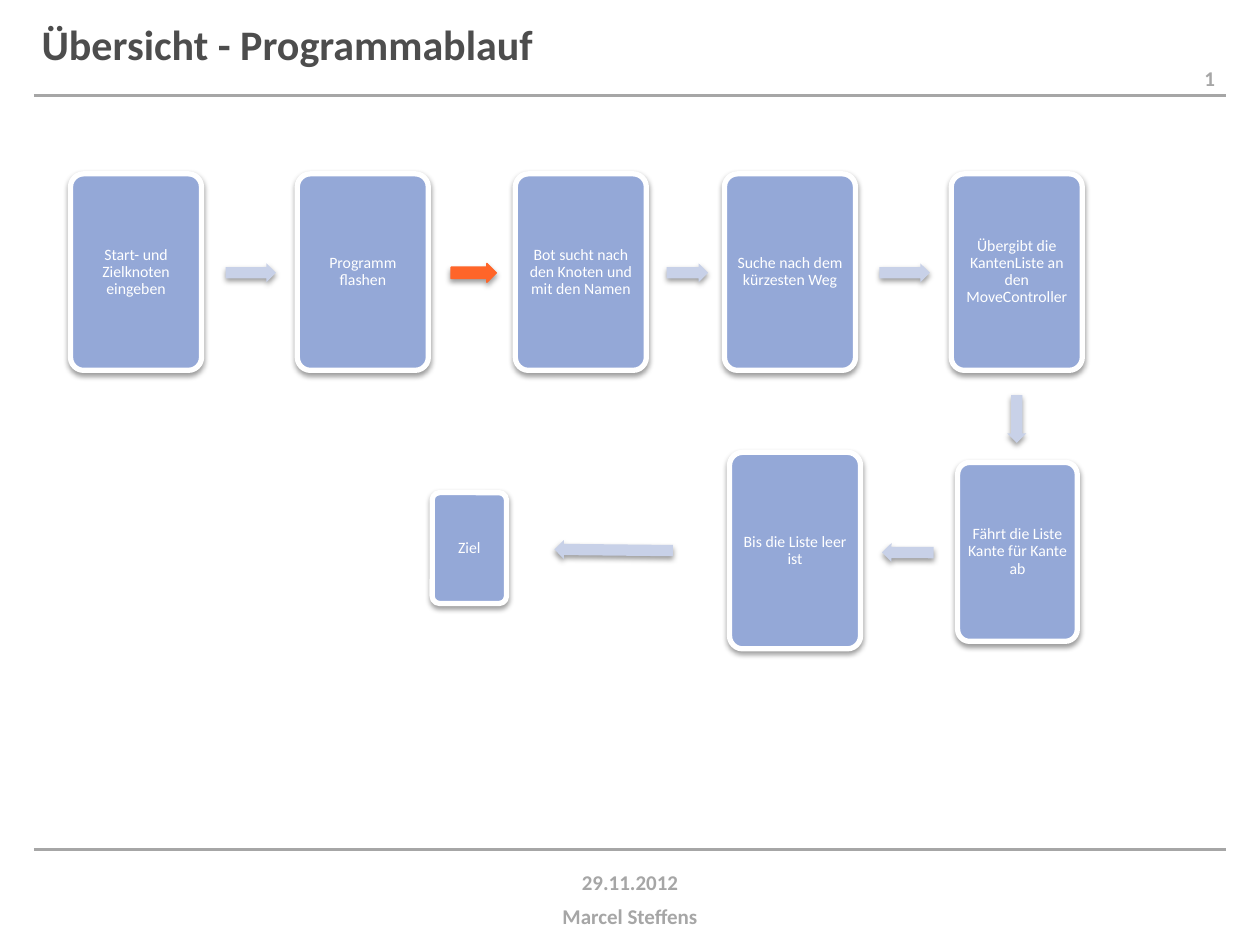
from dataclasses import dataclass

from lxml.etree import SubElement
from pptx import Presentation
from pptx.dml.color import RGBColor
from pptx.enum.shapes import MSO_CONNECTOR as Connector, MSO_SHAPE as Shape
from pptx.enum.text import MSO_ANCHOR as Anchor, PP_ALIGN as Align
from pptx.oxml.ns import qn
from pptx.util import Emu, Pt

PX = 9144


@dataclass(frozen=True)
class Theme:
    font: str = "Calibri"
    title: str = "4D4D4D"
    muted: str = "A6A6A6"
    box: str = "94A8D7"
    arrow: str = "C8D1E8"
    accent: str = "FF6529"
    white: str = "FFFFFF"
    title_size: int = 24
    footer_size: int = 12
    step_size: int = 9


@dataclass(frozen=True)
class Step:
    text: str
    left: int
    top: int = 138
    width: int = 104
    height: int = 156


@dataclass(frozen=True)
class Arrow:
    left: int
    top: int
    width: int
    rotation: float = 0
    color: str = Theme.arrow


@dataclass(frozen=True)
class Label:
    text: str
    left: int
    top: int
    width: int
    height: int
    margin_x: int = 10
    margin_y: int = 0
    align: Align = Align.CENTER


THEME = Theme()
STEPS = (
    Step("Start- und Zielknoten eingeben", 56),
    Step("Programm flashen", 236),
    Step("Bot sucht nach den Knoten und mit den Namen", 409),
    Step("Suche nach dem kürzesten Weg", 575),
    Step("Übergibt die KantenListe an den MoveController", 755),
    Step("Fährt die Liste Kante für Kante ab", 760, 367, 95, 142),
    Step("Bis die Liste leer ist", 579, 359),
    Step("Ziel", 343, 391, 59, 88),
)
ARROWS = (
    Arrow(179, 209, 40),
    Arrow(358, 209, 36, color=THEME.accent),
    Arrow(529, 209, 33),
    Arrow(698, 209, 40),
    Arrow(788, 325, 38, 90),
    Arrow(700, 431, 41, 180.2),
    Arrow(440, 429, 94, 180.6),
)
ARROW_HEIGHT = 15
LABELS = (
    Label("1", 946, 47, 52, 30, 10, 5, Align.LEFT),
    Label("29.11.2012", 425, 690, 150, 16, 0),
    Label("Marcel Steffens", 336, 717, 328, 20),
)
RULES = (76, 674)


def px(value: int) -> Emu:
    return Emu(value * PX)


def frame(*lengths: int) -> list[Emu]:
    return [px(length) for length in lengths]


def set_all(target, values: dict) -> None:
    for name, value in values.items():
        setattr(target, name, value)


def write(shape, text: str, size: int, color: str, bold: bool, align: Align,
          anchor: Anchor, margins: tuple[int, int], spacing: float = 1) -> None:
    margin_x, margin_y = frame(*margins)
    text_frame = shape.text_frame
    text_frame.text = text
    set_all(text_frame, {
        "word_wrap": True, "vertical_anchor": anchor,
        "margin_left": margin_x, "margin_right": margin_x,
        "margin_top": margin_y, "margin_bottom": margin_y,
    })
    paragraph = text_frame.paragraphs[0]
    set_all(paragraph, {"alignment": align, "line_spacing": spacing})
    font = paragraph.runs[0].font
    set_all(font, {"name": THEME.font, "size": Pt(size), "bold": bold})
    font.color.rgb = RGBColor.from_string(color)


def add_soft_shadow(shape) -> None:
    shape.shadow.inherit = False
    effects = shape._element.spPr.find(qn("a:effectLst"))
    shadow = SubElement(effects, qn("a:outerShdw"), {
        "blurRad": str(Pt(3.1)), "dist": str(Pt(1.6)),
        "dir": "5400000", "rotWithShape": "0",
    })
    color = SubElement(shadow, qn("a:srgbClr"), val="000000")
    SubElement(color, qn("a:alpha"), val="38000")


def add_rule(slide, top: int) -> None:
    rule = slide.shapes.add_connector(Connector.STRAIGHT, *frame(27, top, 973, top))
    rule.line.color.rgb = RGBColor.from_string(THEME.muted)
    rule.line.width = Pt(1.5)
    SubElement(rule._element.spPr, qn("a:effectLst"))


def add_label(slide, label: Label) -> None:
    box = slide.shapes.add_textbox(
        *frame(label.left, label.top, label.width, label.height))
    write(box, label.text, THEME.footer_size, THEME.muted, True, label.align,
          Anchor.TOP, (label.margin_x, label.margin_y))


def add_step(slide, step: Step) -> None:
    box = slide.shapes.add_shape(
        Shape.ROUNDED_RECTANGLE,
        *frame(step.left, step.top, step.width, step.height))
    box.adjustments[0] = 0.1
    box.fill.solid()
    box.fill.fore_color.rgb = RGBColor.from_string(THEME.box)
    box.line.color.rgb = RGBColor.from_string(THEME.white)
    box.line.width = Pt(3)
    add_soft_shadow(box)
    write(box, step.text, THEME.step_size, THEME.white, False, Align.CENTER,
          Anchor.MIDDLE, (4, 4), 0.9)


def add_arrow(slide, arrow: Arrow) -> None:
    shape = slide.shapes.add_shape(
        Shape.RIGHT_ARROW,
        *frame(arrow.left, arrow.top, arrow.width, ARROW_HEIGHT))
    shape.adjustments[0] = 0.6
    shape.adjustments[1] = 0.5
    shape.rotation = arrow.rotation
    shape.fill.solid()
    shape.fill.fore_color.rgb = RGBColor.from_string(arrow.color)
    if arrow.color == THEME.accent:
        shape.line.color.rgb = RGBColor.from_string(arrow.color)
        shape.line.width = Pt(0.75)
    else:
        shape.line.fill.background()
    add_soft_shadow(shape)


def main() -> None:
    presentation = Presentation()
    set_all(presentation, {"slide_width": px(1000), "slide_height": px(750)})
    slide = presentation.slides.add_slide(presentation.slide_layouts[5])
    title = slide.shapes.title
    set_all(title, dict(zip(("left", "top", "width", "height"),
                            frame(23, 1, 945, 68))))
    write(title, "Übersicht - Programmablauf", THEME.title_size, THEME.title,
          True, Align.LEFT, Anchor.MIDDLE, (10, 5))
    for top in RULES:
        add_rule(slide, top)
    for label in LABELS:
        add_label(slide, label)
    for step in STEPS:
        add_step(slide, step)
    for arrow in ARROWS:
        add_arrow(slide, arrow)
    presentation.save("out.pptx")


if __name__ == "__main__":
    main()
